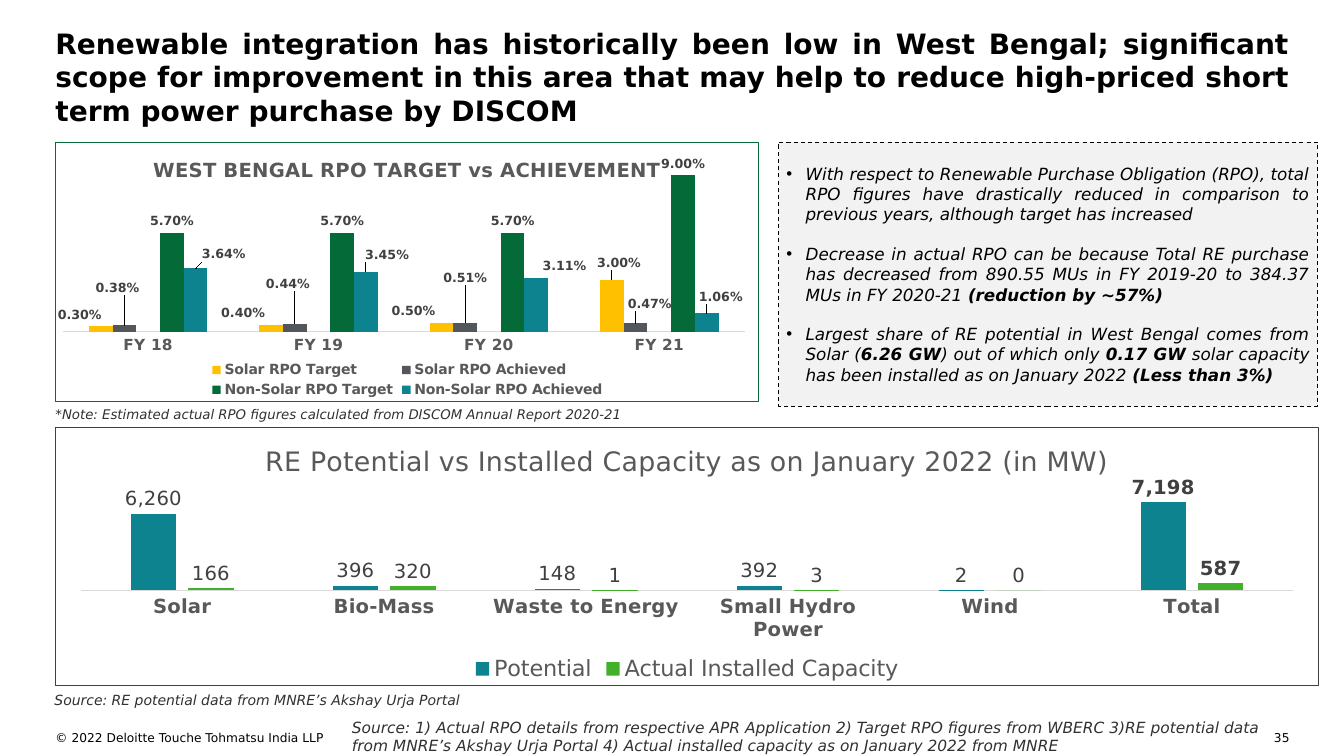
from lxml import etree
from pptx import Presentation
from pptx.chart.data import CategoryChartData
from pptx.dml.color import RGBColor
from pptx.enum.chart import XL_CHART_TYPE, XL_LABEL_POSITION, XL_LEGEND_POSITION, XL_TICK_MARK
from pptx.enum.dml import MSO_LINE
from pptx.enum.shapes import MSO_SHAPE
from pptx.enum.text import MSO_ANCHOR, PP_ALIGN
from pptx.oxml import parse_xml
from pptx.oxml.ns import nsdecls, qn
from pptx.util import Inches, Pt

COLUMN = XL_CHART_TYPE.COLUMN_CLUSTERED
OUTSIDE = XL_LABEL_POSITION.OUTSIDE_END
BOTTOM = XL_LEGEND_POSITION.BOTTOM
NO_TICK = XL_TICK_MARK.NONE
DASH = MSO_LINE.DASH
RECT = MSO_SHAPE.RECTANGLE
TOP, MIDDLE = MSO_ANCHOR.TOP, MSO_ANCHOR.MIDDLE
LEFT, RIGHT, JUSTIFY = PP_ALIGN.LEFT, PP_ALIGN.RIGHT, PP_ALIGN.JUSTIFY

BLACK = RGBColor(0x00, 0x00, 0x00)
INK = RGBColor(0x31, 0x31, 0x31)
DARK = RGBColor(0x40, 0x40, 0x40)
GREY = RGBColor(0x59, 0x59, 0x59)
SLATE = RGBColor(0x53, 0x56, 0x5A)
PALE = RGBColor(0xF2, 0xF2, 0xF2)
RULE = RGBColor(0xD9, 0xD9, 0xD9)
AMBER = RGBColor(0xFF, 0xC0, 0x00)
FOREST = RGBColor(0x04, 0x6A, 0x38)
LEAF = RGBColor(0x26, 0x89, 0x0D)
LIME = RGBColor(0x43, 0xB0, 0x2A)
TEAL = RGBColor(0x0D, 0x83, 0x90)


class Deck:
    face = "DejaVu Sans"

    def __init__(self, wide, high):
        self.prs = Presentation()
        self.prs.slide_width, self.prs.slide_height = Inches(wide), Inches(high)
        self.slide = self.prs.slides.add_slide(self.prs.slide_layouts[6])

    def style(self, font, size, color, bold=False, italic=False):
        font.name, font.size = self.face, Pt(size)
        font.bold, font.italic = bold, italic
        font.color.rgb = color

    def setup(self, frame, inset, anchor):
        frame.word_wrap = True
        frame.vertical_anchor = anchor
        frame.margin_left = frame.margin_right = Inches(inset)
        frame.margin_top = frame.margin_bottom = Inches(inset)

    def text(self, box, words, size, color=INK, bold=False, italic=False, align=LEFT):
        frame = self.slide.shapes.add_textbox(*map(Inches, box)).text_frame
        self.setup(frame, 0, TOP)
        para = frame.paragraphs[0]
        para.alignment = align
        run = para.add_run()
        run.text = words
        self.style(run.font, size, color, bold, italic)

    def panel(self, box, items, size):
        """Dashed box of bullets; every second run of an item is bold."""
        shape = self.slide.shapes.add_shape(RECT, *map(Inches, box))
        shape.shadow.inherit = False
        shape.fill.solid()
        shape.fill.fore_color.rgb = PALE
        shape.line.color.rgb = BLACK
        shape.line.width = Pt(0.75)
        shape.line.dash_style = DASH
        frame = shape.text_frame
        self.setup(frame, 0.08, MIDDLE)
        for i, item in enumerate(items):
            para = frame.add_paragraph() if i else frame.paragraphs[0]
            para.alignment = JUSTIFY
            props = para._p.get_or_add_pPr()
            props.set("marL", str(Inches(0.19)))
            props.set("indent", str(Inches(-0.19)))
            etree.SubElement(props, qn("a:buFont")).set("typeface", "Arial")
            etree.SubElement(props, qn("a:buChar")).set("char", "•")
            if i:
                para.space_before = Pt(14)
            for j, words in enumerate(item):
                run = para.add_run()
                run.text = words
                self.style(run.font, size, BLACK, j % 2 == 1, True)

    def layout(self, x, y, w=None, h=None):
        parts = [("x", x), ("y", y)]
        modes = ""
        if w:
            parts += [("w", w), ("h", h)]
            modes = '<c:layoutTarget val="inner"/><c:xMode val="edge"/><c:yMode val="edge"/>'
        body = "".join(f'<c:{key} val="{val}"/>' for key, val in parts)
        return parse_xml(f'<c:layout {nsdecls("c")}><c:manualLayout>{modes}{body}'
                         "</c:manualLayout></c:layout>")

    def chart(self, box, title, cats, rows, fmt, top, plot, sizes, bolds, border, overlap=0):
        """rows: name, values, colour; sizes and bolds: title, axis, legend, labels."""
        data = CategoryChartData(number_format=fmt)
        data.categories = cats
        for name, vals, _ in rows:
            data.add_series(name, vals)
        chart = self.slide.shapes.add_chart(COLUMN, *map(Inches, box), data).chart
        self.style(chart.font, sizes[3], BLACK)
        space = chart._chartSpace
        space.find(qn("c:txPr")).addprevious(parse_xml(
            f'<c:spPr {nsdecls("c", "a")}><a:noFill/><a:ln w="9525"><a:solidFill>'
            f'<a:srgbClr val="{border}"/></a:solidFill></a:ln></c:spPr>'))

        # Title and legend
        chart.has_title = True
        run = chart.chart_title.text_frame.paragraphs[0].add_run()
        run.text = title
        self.style(run.font, sizes[0], GREY, bolds[0])
        chart.has_legend = True
        chart.legend.position = BOTTOM
        chart.legend.include_in_layout = False
        self.style(chart.legend.font, sizes[2], GREY, bolds[2])

        # Axes and plot area
        axis = chart.category_axis
        axis.major_tick_mark = NO_TICK
        axis.format.line.color.rgb = RULE
        axis.format.line.width = Pt(0.75)
        self.style(axis.tick_labels.font, sizes[1], GREY, bolds[1])
        value = chart.value_axis
        value.has_major_gridlines = False
        value.minimum_scale, value.maximum_scale = 0, top
        value.visible = False
        area = space.find(".//" + qn("c:plotArea"))
        for old in area.findall(qn("c:layout")):
            area.remove(old)
        area.insert(0, self.layout(*plot))

        # Columns and labels
        bars = chart.plots[0]
        bars.gap_width, bars.overlap = 219, overlap
        bars.vary_by_categories = False
        for series, (_, _, color) in zip(bars.series, rows):
            series.format.fill.solid()
            series.format.fill.fore_color.rgb = color
            labels = series.data_labels
            labels.show_value = True
            labels.position = OUTSIDE
            labels.number_format, labels.number_format_is_linked = fmt, False
            self.style(labels.font, sizes[3], DARK, bolds[3])
        return chart

    def label(self, series, i, size, shift=None):
        """Bold one point's label, and move it by a share of the chart size."""
        tag = series.points[i].data_label
        self.style(tag.font, size, DARK, True)
        tag.position = OUTSIDE
        if shift:
            for node in series._element.iter(qn("c:dLbl")):
                if node.find(qn("c:idx")).get("val") == str(i):
                    node.insert(1, self.layout(*shift))


def main():
    deck = Deck(13.33, 7.5)

    # Heading
    deck.text((0.55, 0.26, 12.24, 0.4),
              "Renewable integration has historically been low in West Bengal; significant scope for "
              "improvement in this area that may help to reduce high-priced short term power "
              "purchase by DISCOM", 20, BLACK, bold=True, align=JUSTIFY)

    # Targets against achievement
    rpo = deck.chart(
        (0.55, 1.41, 6.98, 2.58), "WEST BENGAL RPO TARGET vs ACHIEVEMENT",
        ["FY 18", "FY 19", "FY 20", "FY 21"],
        [("Solar RPO Target", (0.003, 0.004, 0.005, 0.03), AMBER),
         ("Solar RPO Achieved", (0.0038, 0.0044, 0.0051, 0.0047), SLATE),
         ("Series 3", (None,) * 4, LEAF),
         ("Non-Solar RPO Target", (0.057, 0.057, 0.057, 0.09), FOREST),
         ("Non-Solar RPO Achieved", (0.0364, 0.0345, 0.0311, 0.0106), TEAL)],
        "0.00%", 0.1, (0.01, 0.06, 0.97, 0.67), (14, 11, 10, 9), (True,) * 4, FOREST)
    rpo.legend._element.find(qn("c:legendPos")).addnext(parse_xml(
        f'<c:legendEntry {nsdecls("c")}><c:idx val="2"/><c:delete val="1"/></c:legendEntry>'))
    shifts = {0: ((-0.03, 0), (-0.04, 0), (-0.04, 0), (0.01, -0.02)),
              1: ((-0.01, -0.1), (-0.01, -0.11), (0, -0.13), (0.02, -0.03)),
              4: ((0.04, -0.01), (0.03, -0.02), (0.04, 0), (0.02, -0.02))}
    for k, moves in shifts.items():
        for i, move in enumerate(moves):
            deck.label(rpo.plots[0].series[k], i, 9, move)
    deck.text((0.55, 4.03, 11.91, 0.16),
              "*Note: Estimated actual RPO figures calculated from DISCOM Annual Report 2020-21",
              9.5, italic=True)

    # Findings
    deck.panel((7.72, 1.41, 5.35, 2.62), [
        ["With respect to Renewable Purchase Obligation (RPO), total RPO figures have drastically "
         "reduced in comparison to previous years, although target has increased"],
        ["Decrease in actual RPO can be because Total RE purchase has decreased from 890.55 MUs "
         "in FY 2019-20 to 384.37 MUs in FY 2020-21 ", "(reduction by ~57%)"],
        ["Largest share of RE potential in West Bengal comes from Solar (", "6.26 GW",
         ") out of which only ", "0.17 GW",
         " solar capacity has been installed as on January 2022 ", "(Less than 3%)"]], 12)

    # Potential against installed capacity
    power = deck.chart(
        (0.55, 4.24, 12.53, 2.57), "RE Potential vs Installed Capacity as on January 2022 (in MW)",
        ["Solar", "Bio-Mass", "Waste to Energy", "Small Hydro Power", "Wind", "Total"],
        [("Potential", (6260, 396, 148, 392, 2, 7198), TEAL),
         ("Actual Installed Capacity", (166, 320, 1, 3, 0, 587), LIME)],
        "#,##0", 8000, (0.02, 0.25, 0.96, 0.38), (19.2, 14, 16, 14),
        (False, True, False, False), DARK, -27)
    for series in power.plots[0].series:
        deck.label(series, 5, 14)
    deck.text((0.54, 6.86, 6.46, 0.17),
              "Source: RE potential data from MNRE’s Akshay Urja Portal", 10, italic=True)

    # Footer
    deck.text((3.49, 7.12, 9.1, 0.37),
              "Source: 1) Actual RPO details from respective APR Application 2) Target RPO figures "
              "from WBERC 3)RE potential data from MNRE’s Akshay Urja Portal 4) Actual installed "
              "capacity as on January 2022 from MNRE", 11, italic=True)
    deck.text((0.55, 7.25, 2.9, 0.22), "© 2022 Deloitte Touche Tohmatsu India LLP", 8.7, BLACK)
    deck.text((12.45, 7.25, 0.34, 0.11), "35", 8.7, BLACK, align=RIGHT)

    deck.prs.save("out.pptx")


if __name__ == "__main__":
    main()
